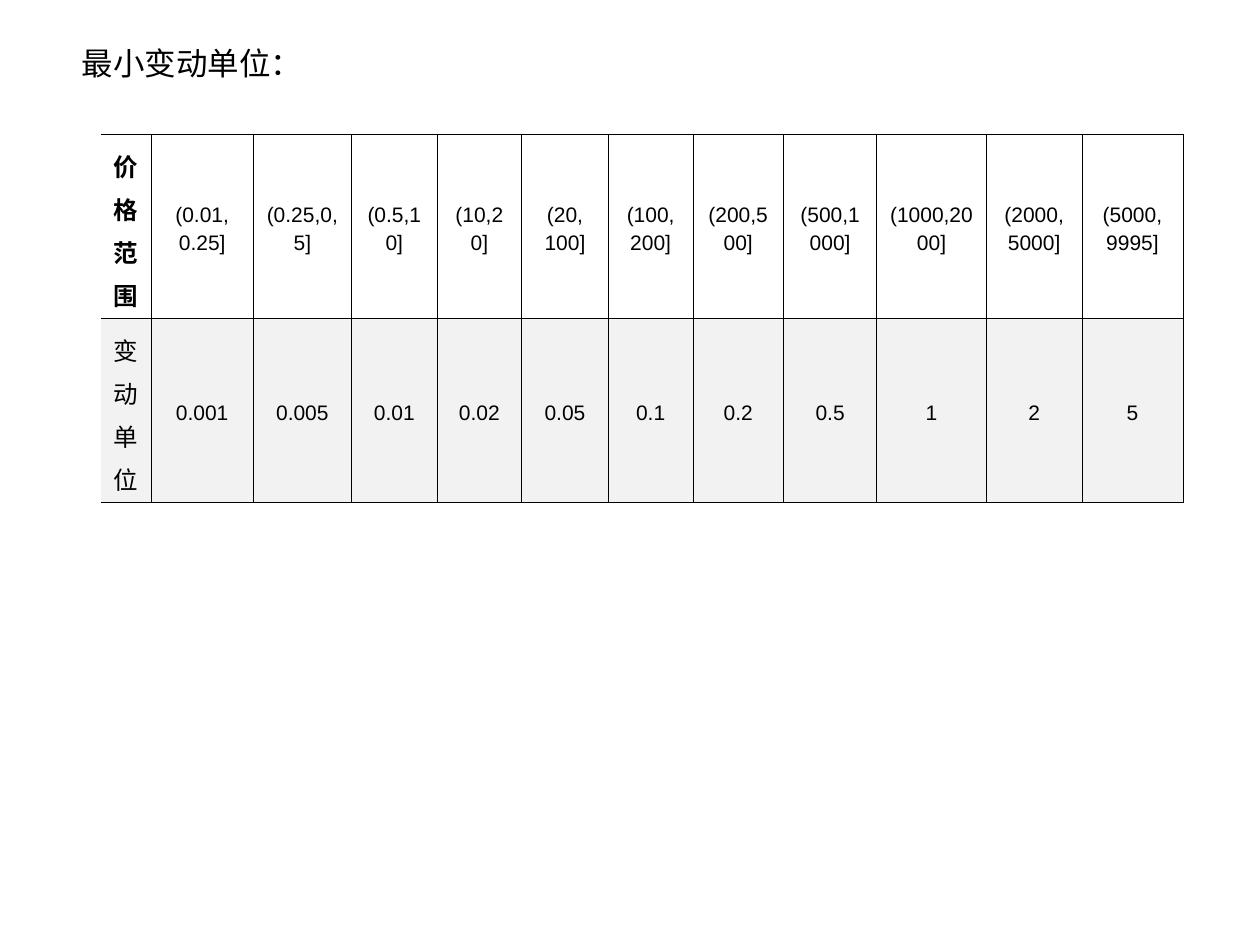
from dataclasses import dataclass

from lxml import etree
from pptx import Presentation
from pptx.dml.color import RGBColor
from pptx.enum.text import MSO_ANCHOR, PP_ALIGN
from pptx.oxml.ns import qn
from pptx.util import Inches, Pt

CENTER = PP_ALIGN.CENTER
MIDDLE = MSO_ANCHOR.MIDDLE


@dataclass(frozen=True)
class Theme:
    font: str = "Arial"
    ink: str = "000000"
    row_fills: tuple = ("FFFFFF", "F2F2F2")
    title_size: int = 18
    label_size: int = 14
    value_size: int = 12
    border: float = 0.45


THEME = Theme()
COL_WIDTHS = (0.4, 0.81, 0.78, 0.68, 0.67, 0.69, 0.67, 0.72, 0.74, 0.87, 0.76, 0.8)
ROW_HEIGHT = 1.46
ROWS = (
    ("价格范围", "(0.01,\n0.25]", "(0.25,0,5]", "(0.5,10]", "(10,20]", "(20,\n100]",
     "(100,200]", "(200,500]", "(500,1000]", "(1000,2000]", "(2000,5000]", "(5000,\n9995]"),
    ("变动单位", "0.001", "0.005", "0.01", "0.02", "0.05",
     "0.1", "0.2", "0.5", "1", "2", "5"),
)


def add_run(p, text, size, bold=False):
    r = p.add_run()
    r.text = text
    r.font.name = THEME.font
    r.font.size = Pt(size)
    r.font.bold = bold
    r.font.color.rgb = RGBColor.from_string(THEME.ink)


def add_title(s, left, top, width, height):
    tf = s.shapes.add_textbox(Inches(left), Inches(top), Inches(width), Inches(height)).text_frame
    tf.word_wrap = True
    tf.margin_left = Inches(0.15)
    add_run(tf.paragraphs[0], "最小变动单位：", THEME.title_size)


def set_borders(cell, open_left):
    tc_pr = cell._tc.get_or_add_tcPr()
    for side in ("L", "R", "T", "B"):
        ln = etree.SubElement(tc_pr, qn(f"a:ln{side}"), w=str(Pt(THEME.border)))
        if side == "L" and open_left:
            etree.SubElement(ln, qn("a:noFill"))
        else:
            fill = etree.SubElement(ln, qn("a:solidFill"))
            etree.SubElement(fill, qn("a:srgbClr"), val=THEME.ink)


def fill_cell(cell, text, fill, is_label, bold):
    set_borders(cell, is_label)
    cell.fill.solid()
    cell.fill.fore_color.rgb = RGBColor.from_string(fill)
    cell.vertical_anchor = MIDDLE
    tf = cell.text_frame
    for i, line in enumerate(text.split("\n")):
        p = tf.add_paragraph() if i else tf.paragraphs[0]
        p.alignment = CENTER
        p.line_spacing = 1.2
        add_run(p, line, THEME.label_size if is_label else THEME.value_size, bold)


def add_tick_table(s, left, top):
    table = s.shapes.add_table(
        len(ROWS), len(COL_WIDTHS), Inches(left), Inches(top),
        Inches(sum(COL_WIDTHS)), Inches(ROW_HEIGHT * len(ROWS))).table
    table.first_row = False
    table.horz_banding = False
    for column, width in zip(table.columns, COL_WIDTHS):
        column.width = Inches(width)
    for i, (texts, fill) in enumerate(zip(ROWS, THEME.row_fills)):
        table.rows[i].height = Inches(ROW_HEIGHT)
        for j, text in enumerate(texts):
            fill_cell(table.cell(i, j), text, fill, j == 0, i == 0 and j == 0)


def main():
    prs = Presentation()
    prs.slide_width, prs.slide_height = Inches(10), Inches(7.5)
    s = prs.slides.add_slide(prs.slide_layouts[6])
    add_title(s, 0.5, 0.3, 9, 6.4)
    add_tick_table(s, 0.8, 1.07)
    prs.save("out.pptx")


if __name__ == "__main__":
    main()
